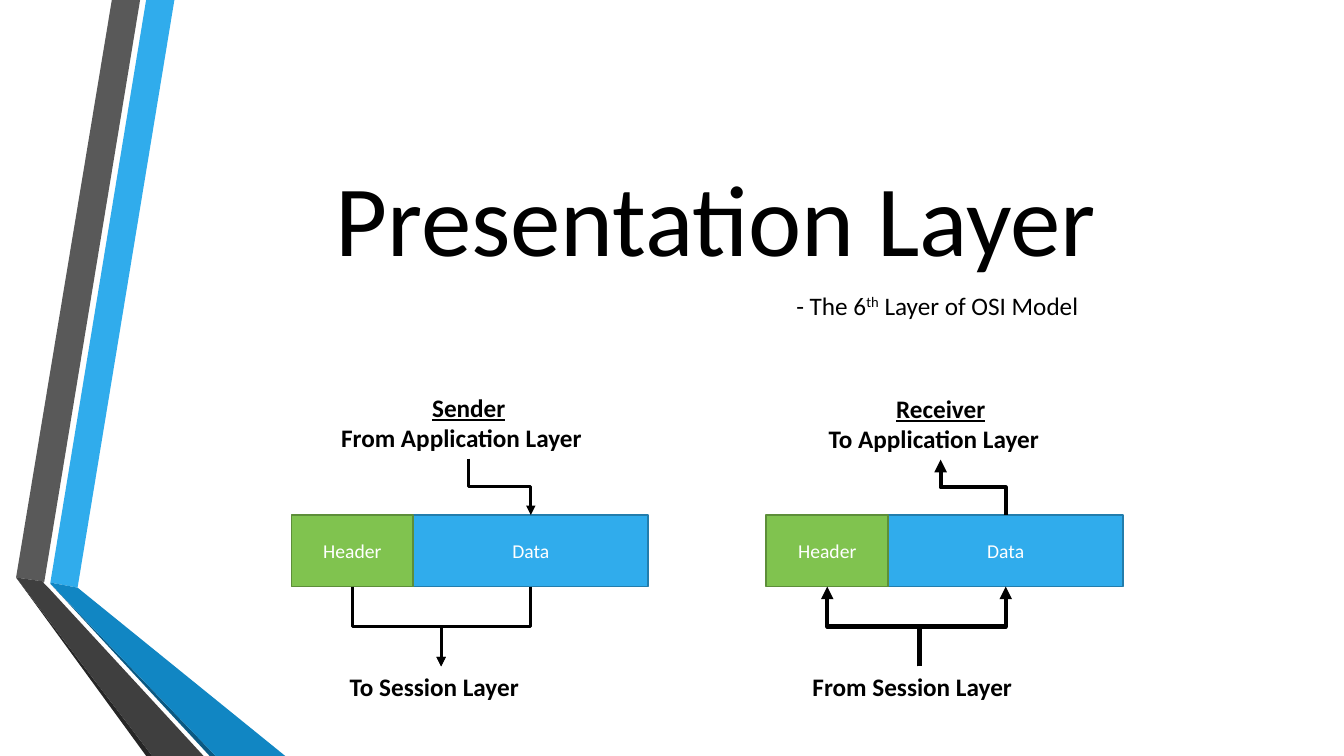
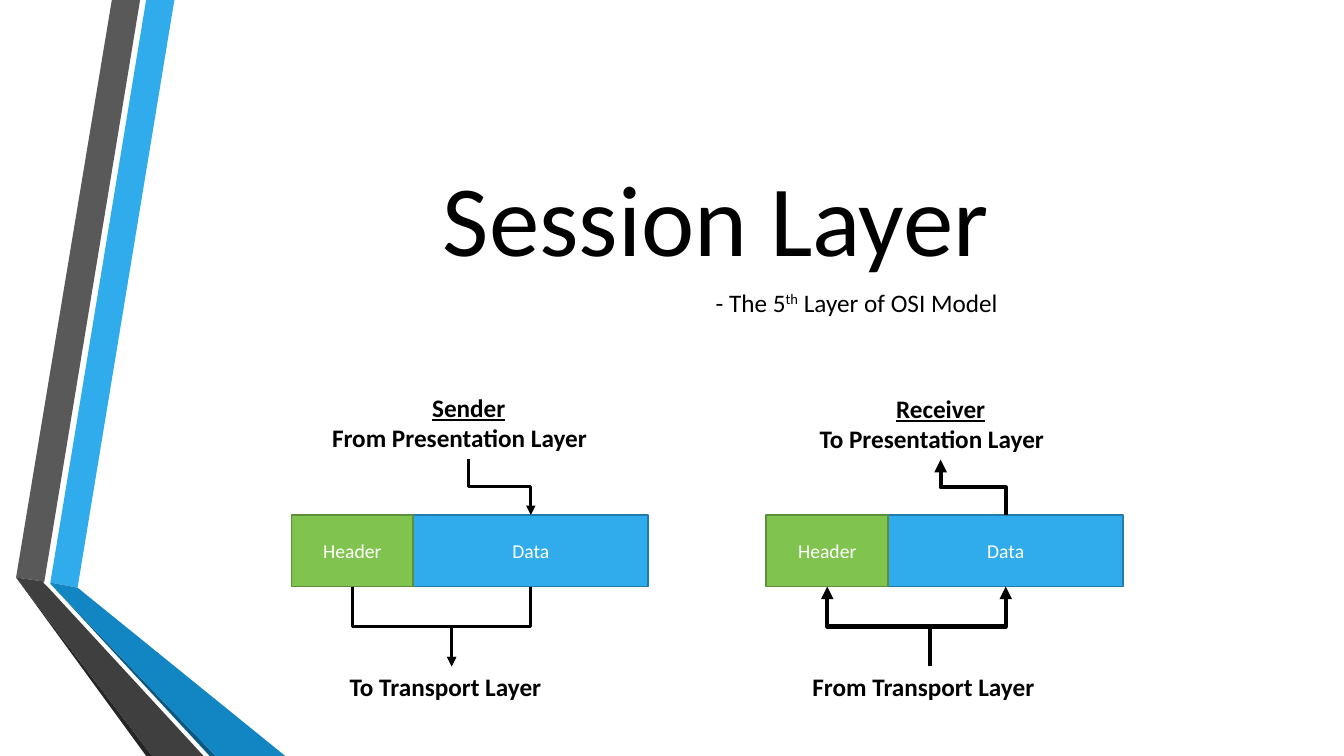
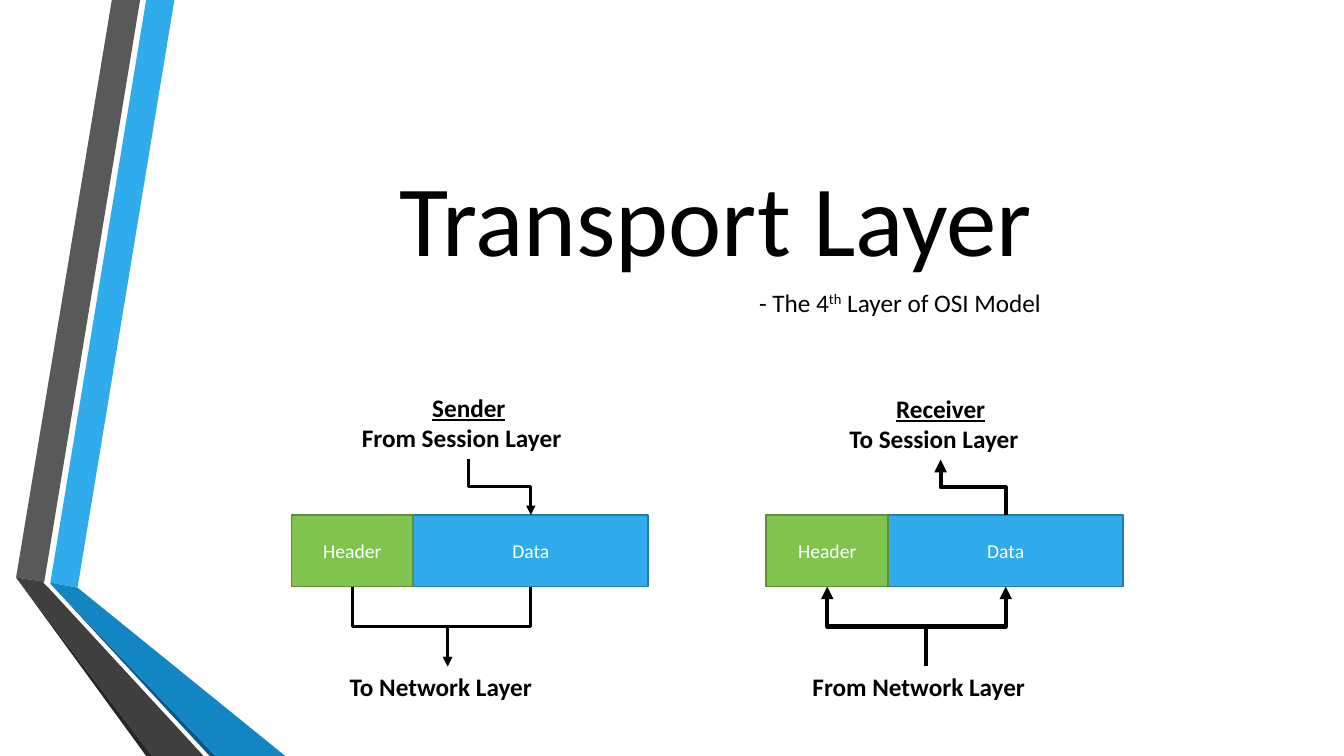
from lxml import etree
from pptx import Presentation
from pptx.dml.color import RGBColor
from pptx.enum.shapes import MSO_CONNECTOR, MSO_SHAPE
from pptx.enum.text import MSO_ANCHOR, MSO_AUTO_SIZE, PP_ALIGN
from pptx.oxml.ns import qn
from pptx.util import Inches, Pt

ELBOW = MSO_CONNECTOR.ELBOW
RECTANGLE = MSO_SHAPE.RECTANGLE
TOP, MIDDLE = MSO_ANCHOR.TOP, MSO_ANCHOR.MIDDLE
LEFT, CENTER = PP_ALIGN.LEFT, PP_ALIGN.CENTER
NO_FIT, GROW = MSO_AUTO_SIZE.NONE, MSO_AUTO_SIZE.SHAPE_TO_FIT_TEXT

FONT = "Calibri"
COLORS = {
    "text": "000000", "white": "FFFFFF",
    "blue": "30ACEC", "blue_edge": "237DAC", "blue_fold": "1186C3", "blue_shade": "0B5982",
    "green": "80C34F", "green_edge": "5D8E39",
    "gray": "595959", "gray_fold": "3F3F3F", "gray_shade": "262626",
}

RIBBONS = [
    ("blue", [(0.5, 5.78), (0.77, 5.83), (1.73, 0), (1.45, 0)]),
    ("gray", [(1.39, 0), (1.11, 0), (0.16, 5.73), (0.44, 5.77)]),
    ("gray_shade", [(0.16, 5.73), (1.45, 7.5), (1.51, 7.5)]),
    ("blue_shade", [(0.5, 5.79), (2.08, 7.5), (2.14, 7.5)]),
    ("blue_fold", [(0.5, 5.79), (2.14, 7.5), (2.83, 7.5), (0.77, 5.83), (0.5, 5.78)]),
    ("gray_fold", [(2.02, 7.5), (0.48, 5.83), (0.43, 5.78), (0.44, 5.77), (0.16, 5.73), (1.51, 7.5)]),
]

LAYERS = ["Application", "Presentation", "Session", "Transport", "Network"]
FROM_WIDTHS = {"Application": 2.73, "Presentation": 2.91, "Session": 2.32,
               "Transport": 2.53, "Network": 2.45}
TO_NARROWER = 0.31
SUBTITLES = [(6, 7.8, 2.83), (5, 7, 2.8), (4, 7.43, 2.8)]

SIDES = [
    {"name": "Sender", "above": "From", "below": "To", "packet": 2.89, "center": 4.65,
     "top": 3.84, "below_left": 3.37, "weight": 2.25, "sends": True},
    {"name": "Receiver", "above": "To", "below": "From", "packet": 7.6, "center": 9.33,
     "top": 3.85, "below_left": 7.96, "weight": 3, "sends": False},
]

TITLE_BOX = (1.62, 0.36, 10.96, 3.56)
HEADER_WIDTH, DATA_WIDTH = 1.21, 2.33
PACKET_TOP, PACKET_HEIGHT = 5.11, 0.71
PACKET_BOTTOM = PACKET_TOP + PACKET_HEIGHT
BELOW_TOP = 6.61
LABEL_HEIGHT, HEADING_HEIGHT = 0.4, 0.71

LABEL = {"size": Pt(18), "bold": True}
HEADING = {"size": Pt(18), "bold": True, "underline": True}
PLAIN = {"size": Pt(18)}


def rgb(color):
    return RGBColor.from_string(COLORS[color])


def place(shape, box):
    for name, value in zip(("left", "top", "width", "height"), box):
        setattr(shape, name, Inches(value))


def write(shape, paragraphs, anchor=TOP, fit=NO_FIT, color="text"):
    frame = shape.text_frame
    settings = {"word_wrap": True, "auto_size": fit, "vertical_anchor": anchor}
    for name, value in settings.items():
        setattr(frame, name, value)
    for index, (alignment, spans) in enumerate(paragraphs):
        para = frame.add_paragraph() if index else frame.paragraphs[0]
        para.alignment = alignment
        for text, style in spans:
            span = para.add_run()
            span.text = text
            span.font.color.rgb = rgb(color)
            for name, value in {"name": FONT, **style}.items():
                setattr(span.font, name, value)
    return frame


def add_label(page, box, paragraphs):
    return write(page.shapes.add_textbox(*map(Inches, box)), paragraphs, fit=GROW)


def add_cell(page, text, left, width, color):
    box = (left, PACKET_TOP, width, PACKET_HEIGHT)
    cell = page.shapes.add_shape(RECTANGLE, *map(Inches, box))
    cell.shadow.inherit = False
    cell.fill.solid()
    cell.fill.fore_color.rgb = rgb(color)
    cell.line.color.rgb = rgb(color + "_edge")
    cell.line.width = Pt(1.25)
    write(cell, [(CENTER, [(text, {"size": Pt(14)})])], MIDDLE, color="white")


def add_arrow(page, start, end, weight):
    (x1, y1), (x2, y2) = start, end
    center_x, center_y = (x1 + x2) / 2, (y1 + y2) / 2
    rightward, downward = x2 > x1, y2 > y1
    half_length, half_span = abs(y2 - y1) / 2, abs(x2 - x1) / 2
    if rightward == downward:
        half_length = -half_length
    ends = (center_x - half_length, center_y - half_span,
            center_x + half_length, center_y + half_span)
    arrow = page.shapes.add_connector(ELBOW, *map(Inches, ends))
    arrow.line.color.rgb = rgb("text")
    arrow.line.width = Pt(weight)
    properties = arrow.element.spPr
    degrees = 270 if rightward else 90
    properties.find(qn("a:xfrm")).set("rot", str(degrees * 60000))
    etree.SubElement(properties.find(qn("a:ln")), qn("a:tailEnd"), type="triangle")
    etree.SubElement(properties, qn("a:effectLst"))


def add_ribbons(page, layout):
    for color, points in RIBBONS:
        corners = [(Inches(x), Inches(y)) for x, y in points]
        builder = page.shapes.build_freeform(*corners[0])
        builder.add_line_segments(corners[1:], close=True)
        ribbon = builder.convert_to_shape()
        ribbon.shadow.inherit = False
        ribbon.fill.solid()
        ribbon.fill.fore_color.rgb = rgb(color)
        ribbon.line.fill.background()
        layout.shapes.element.append(ribbon.element)


def label_width(direction, layer):
    return FROM_WIDTHS[layer] - (TO_NARROWER if direction == "To" else 0)


def add_side(page, side, upper, lower):
    width = label_width(side["above"], upper)
    add_label(page, (side["center"] - width / 2, side["top"], width, HEADING_HEIGHT), [
        (CENTER, [(side["name"], HEADING)]),
        (LEFT, [(f"{side['above']} {upper} Layer", LABEL)]),
    ])
    width = label_width(side["below"], lower)
    add_label(page, (side["below_left"], BELOW_TOP, width, LABEL_HEIGHT),
              [(LEFT, [(f"{side['below']} {lower} Layer", LABEL)])])

    header_left = side["packet"]
    data_left = header_left + HEADER_WIDTH
    add_cell(page, "Data", data_left, DATA_WIDTH, "blue")
    add_cell(page, "Header", header_left, HEADER_WIDTH, "green")

    header_middle = header_left + HEADER_WIDTH / 2
    data_middle = data_left + DATA_WIDTH / 2
    below = (side["below_left"] + width / 2, BELOW_TOP)
    routes = [
        ((side["center"], side["top"] + HEADING_HEIGHT), (data_middle, PACKET_TOP)),
        ((header_middle, PACKET_BOTTOM), below),
        ((data_middle, PACKET_BOTTOM), below),
    ]
    for route in routes:
        start, end = route if side["sends"] else reversed(route)
        add_arrow(page, start, end, side["weight"])


def add_page(deck, layout, upper, current, lower, subtitle):
    page = deck.slides.add_slide(layout)
    title = page.shapes.title
    place(title, TITLE_BOX)
    write(title, [(CENTER, [(f"{current} Layer", {"size": Pt(72)})])], MIDDLE)
    level, left, top = subtitle
    frame = add_label(page, (left, top, 3.07, LABEL_HEIGHT), [
        (LEFT, [(f"- The {level}", PLAIN), ("th", PLAIN), (" Layer of OSI Model", PLAIN)]),
    ])
    ordinal = frame.paragraphs[0].runs[1]
    ordinal.font._element.set("baseline", "30000")
    for side in SIDES:
        add_side(page, side, upper, lower)
    return page


def main():
    deck = Presentation()
    deck.slide_width, deck.slide_height = Inches(13.33), Inches(7.5)
    layout = deck.slide_layouts[5]
    neighbours = zip(LAYERS, LAYERS[1:], LAYERS[2:], SUBTITLES)
    pages = [add_page(deck, layout, *content) for content in neighbours]
    add_ribbons(pages[0], layout)
    deck.save("out.pptx")


if __name__ == "__main__":
    main()
